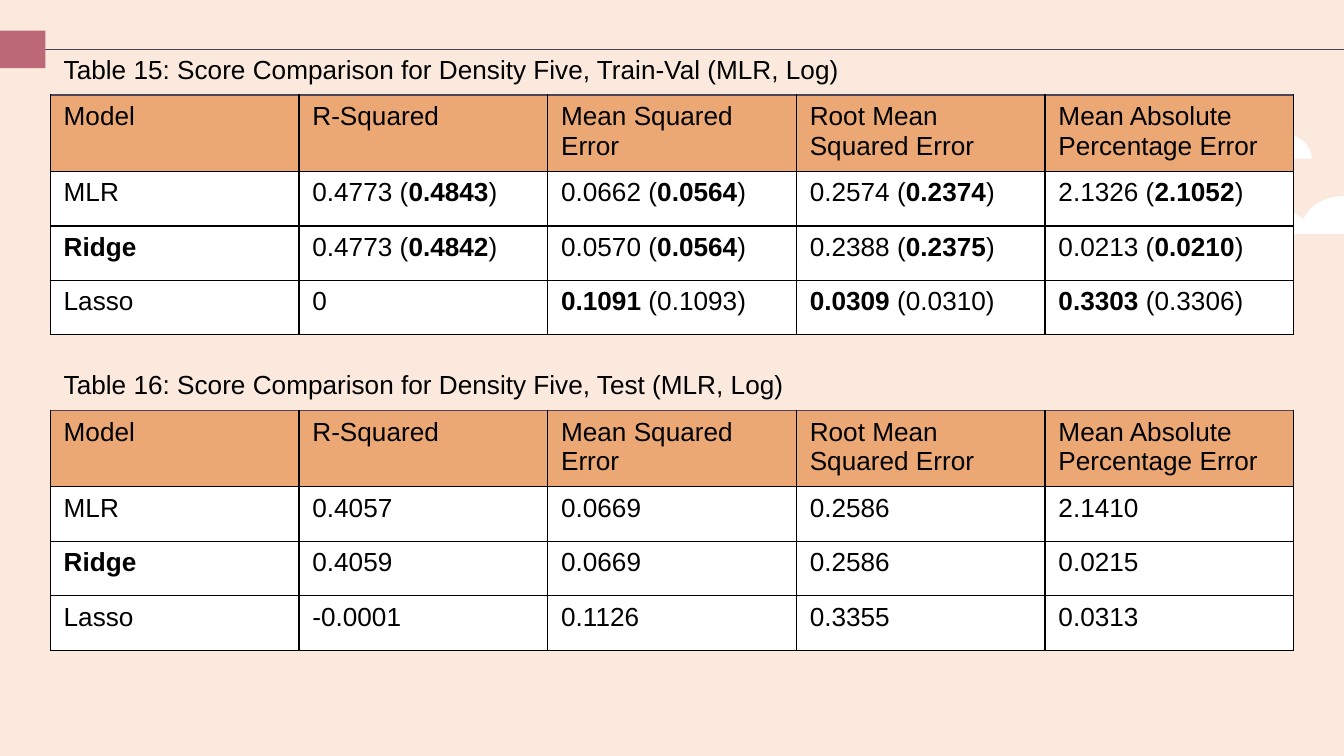
from dataclasses import dataclass

from lxml import etree
from pptx import Presentation
from pptx.dml.color import RGBColor
from pptx.enum.shapes import MSO_CONNECTOR, MSO_SHAPE
from pptx.enum.text import MSO_ANCHOR
from pptx.oxml.ns import qn
from pptx.util import Cm, Pt

STRAIGHT = MSO_CONNECTOR.STRAIGHT
RECTANGLE = MSO_SHAPE.RECTANGLE
BOTTOM = MSO_ANCHOR.BOTTOM

CREAM = RGBColor(0xFA, 0xE9, 0xDC)
SLATE = RGBColor(0x4C, 0x45, 0x57)
ROSE = RGBColor(0xBD, 0x68, 0x77)
ORANGE = RGBColor(0xEB, 0xA8, 0x75)
WHITE = RGBColor(0xFF, 0xFF, 0xFF)
BLACK = RGBColor(0x00, 0x00, 0x00)

FONT = "Arial"
TABLE_LEFT = 0.95
COLUMN_WIDTH = 4.7
ROW_HEIGHTS = (1.44, 1.44, 1.03, 1.03, 1.03)
CURVE_STEPS = 16

Point = tuple[float, float]


@dataclass(frozen=True)
class Cloud:
    start: Point
    curves: tuple[tuple[Point, Point, Point], ...]


@dataclass(frozen=True)
class Border:
    color: RGBColor
    points: float


@dataclass(frozen=True)
class ScoreTable:
    top: float
    caption: str
    scores: tuple[tuple[str, ...], ...]


THIN = Border(BLACK, 0.75)
HEADER_RULE = Border(SLATE, 1)
CAPTION_BORDERS = {"B": HEADER_RULE}
HEADER_BORDERS = {"L": THIN, "R": THIN, "T": HEADER_RULE, "B": THIN}
BODY_BORDERS = {"L": THIN, "R": THIN, "T": THIN, "B": THIN}

HEADINGS = (
    "Model",
    "R-Squared",
    "Mean Squared Error",
    "Root Mean Squared Error",
    "Mean Absolute Percentage Error",
)

# Text between asterisks is bold.
TABLES = (
    ScoreTable(0.36, "Table 15: Score Comparison for Density Five, Train-Val (MLR, Log)", (
        ("MLR", "0.4773 (*0.4843*)", "0.0662 (*0.0564*)", "0.2574 (*0.2374*)", "2.1326 (*2.1052*)"),
        ("*Ridge*", "0.4773 (*0.4842*)", "0.0570 (*0.0564*)", "0.2388 (*0.2375*)", "0.0213 (*0.0210*)"),
        ("Lasso", "0", "*0.1091* (0.1093)", "*0.0309* (0.0310)", "*0.3303* (0.3306)"),
    )),
    ScoreTable(6.32, "Table 16: Score Comparison for Density Five, Test (MLR, Log)", (
        ("MLR", "0.4057", "0.0669", "0.2586", "2.1410"),
        ("*Ridge*", "0.4059", "0.0669", "0.2586", "0.0215"),
        ("Lasso", "-0.0001", "0.1126", "0.3355", "0.0313"),
    )),
)

CLOUDS = (
    Cloud((24.79, 3.0), (
        ((24.79, 2.75), (24.56, 2.54), (24.28, 2.54)),
        ((24.08, 2.54), (23.9, 2.64), (23.83, 2.82)),
        ((23.75, 2.77), (23.65, 2.72), (23.52, 2.72)),
        ((23.32, 2.72), (23.16, 2.84), (23.11, 3.0)),
    )),
    Cloud((26.21, 4.42), (
        ((26.21, 4.01), (25.83, 3.71), (25.37, 3.71)),
        ((25.04, 3.71), (24.74, 3.89), (24.64, 4.14)),
        ((24.51, 4.04), (24.33, 3.96), (24.13, 3.96)),
        ((23.8, 3.96), (23.55, 4.17), (23.5, 4.42)),
    )),
)


def paint(shape, color: RGBColor) -> None:
    shape.shadow.inherit = False
    shape.fill.solid()
    shape.fill.fore_color.rgb = color
    shape.line.fill.background()


def bezier_point(points: tuple[Point, ...], t: float) -> Point:
    weights = ((1 - t) ** 3, 3 * t * (1 - t) ** 2, 3 * t**2 * (1 - t), t**3)
    x, y = (sum(w * p[axis] for w, p in zip(weights, points)) for axis in (0, 1))
    return Cm(x), Cm(y)


def draw_cloud(page, cloud: Cloud) -> None:
    outline = []
    start = cloud.start
    for curve in cloud.curves:
        points = (start, *curve)
        outline += [bezier_point(points, step / CURVE_STEPS) for step in range(1, CURVE_STEPS + 1)]
        start = curve[-1]
    builder = page.shapes.build_freeform(Cm(cloud.start[0]), Cm(cloud.start[1]))
    builder.add_line_segments(outline, close=True)
    paint(builder.convert_to_shape(), WHITE)


def draw_rule(page) -> None:
    rule = page.shapes.add_connector(STRAIGHT, Cm(0), Cm(0.94), Cm(25.4), Cm(0.94))
    rule.line.color.rgb = SLATE
    rule.line.width = Pt(0.75)
    etree.SubElement(rule._element.spPr, qn("a:effectLst"))


def set_borders(cell, borders: dict[str, Border]) -> None:
    properties = cell._tc.get_or_add_tcPr()
    for side in "LRTB":
        line = etree.SubElement(properties, qn(f"a:ln{side}"))
        border = borders.get(side)
        if border is None:
            etree.SubElement(line, qn("a:noFill"))
            continue
        line.set("w", str(Pt(border.points)))
        fill = etree.SubElement(line, qn("a:solidFill"))
        etree.SubElement(fill, qn("a:srgbClr")).set("val", str(border.color))


def write(cell, text: str) -> None:
    para = cell.text_frame.paragraphs[0]
    for index, part in enumerate(text.split("*")):
        if part:
            span = para.add_run()
            span.text = part
            span.font.name = FONT
            span.font.size = Pt(14)
            span.font.bold = index % 2 == 1
            span.font.color.rgb = BLACK


def fill_cell(cell, text: str, color: RGBColor, borders: dict[str, Border]) -> None:
    set_borders(cell, borders)
    cell.fill.solid()
    cell.fill.fore_color.rgb = color
    write(cell, text)


def draw_table(page, scores: ScoreTable) -> None:
    rows, columns = len(ROW_HEIGHTS), len(HEADINGS)
    table = page.shapes.add_table(
        rows, columns, Cm(TABLE_LEFT), Cm(scores.top),
        Cm(columns * COLUMN_WIDTH), Cm(sum(ROW_HEIGHTS)),
    ).table
    table.first_row = False
    table.horz_banding = False
    for column in table.columns:
        column.width = Cm(COLUMN_WIDTH)
    for row, height in zip(table.rows, ROW_HEIGHTS):
        row.height = Cm(height)

    for cell in table.rows[0].cells:
        set_borders(cell, CAPTION_BORDERS)
        cell.fill.background()
    caption = table.cell(0, 0)
    caption.merge(table.cell(0, columns - 1))
    caption.vertical_anchor = BOTTOM
    caption.margin_bottom = Cm(0.2)
    write(caption, scores.caption)

    for column, heading in enumerate(HEADINGS):
        fill_cell(table.cell(1, column), heading, ORANGE, HEADER_BORDERS)
    for row, values in enumerate(scores.scores, start=2):
        for column, value in enumerate(values):
            fill_cell(table.cell(row, column), value, WHITE, BODY_BORDERS)


def main() -> None:
    deck = Presentation()
    deck.slide_width, deck.slide_height = Cm(25.4), Cm(14.29)
    page = deck.slides.add_slide(deck.slide_layouts[6])
    page.background.fill.solid()
    page.background.fill.fore_color.rgb = CREAM
    draw_rule(page)
    paint(page.shapes.add_shape(RECTANGLE, Cm(0), Cm(0.58), Cm(0.86), Cm(0.71)), ROSE)
    for cloud in CLOUDS:
        draw_cloud(page, cloud)
    for scores in TABLES:
        draw_table(page, scores)
    deck.save("out.pptx")


if __name__ == "__main__":
    main()
